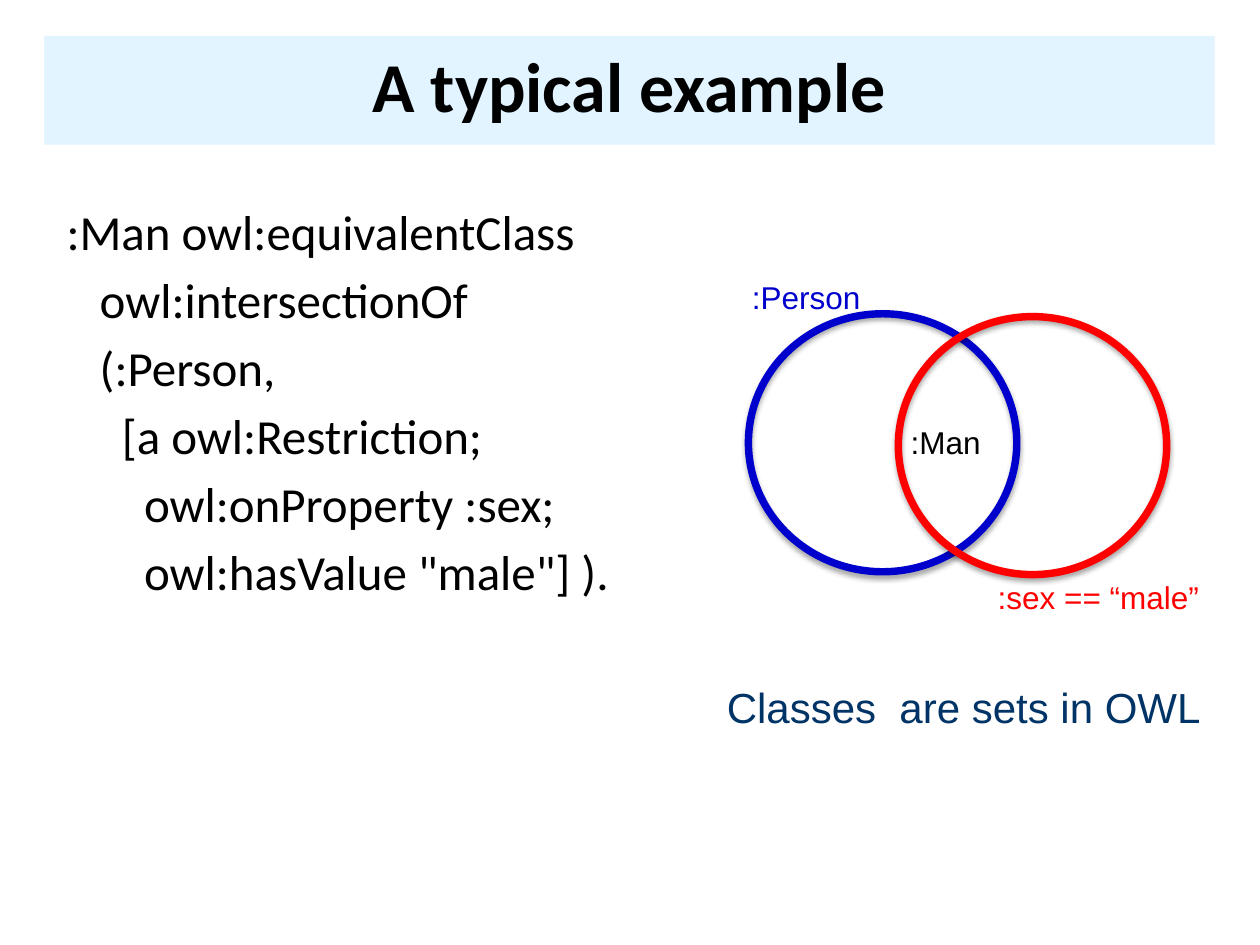
from lxml import etree
from pptx import Presentation
from pptx import util as u
from pptx.dml.color import RGBColor
from pptx.enum import shapes, text
from pptx.oxml import ns

WIDE, HIGH = 10, 7.5
CODE = """:Man owl:equivalentClass
   owl:intersectionOf
   (:Person,
     [a owl:Restriction;
       owl:onProperty :sex;
       owl:hasValue "male"] )."""


def hue(code):
    return RGBColor.from_string(code)


def write(frame, words, size=18, font="Arial", color="000000", bold=False,
          align=text.PP_ALIGN.LEFT, gap=0, pitch=None):
    for i, line in enumerate(words.split("\n")):
        para = frame.paragraphs[0] if i == 0 else frame.add_paragraph()
        para.alignment = align
        para.line_spacing = pitch
        if i:
            para.space_before = u.Pt(gap)
        run = para.add_run()
        run.text = line
        face = run.font
        face.name, face.size, face.bold = font, u.Pt(size), bold
        face.color.rgb = hue(color)


class Deck:
    """Slide and style; lengths are shares of the slide's size."""
    head, tint = "Calibri", "E1F4FF"

    def __init__(self):
        self.prs = Presentation()
        self.prs.slide_width = u.Inches(WIDE)
        self.prs.slide_height = u.Inches(HIGH)
        self.slide = self.prs.slides.add_slide(self.prs.slide_layouts[6])

    def place(self, x, y, w, h):
        wide, high = self.prs.slide_width, self.prs.slide_height
        return [int(v) for v in (x * wide, y * high, w * wide, h * high)]

    def title(self, words, *box):
        bar = self.slide.shapes.add_shape(
            shapes.MSO_SHAPE.RECTANGLE, *self.place(*box))
        bar.shadow.inherit = False
        bar.fill.solid()
        bar.fill.fore_color.rgb = hue(self.tint)
        bar.line.fill.background()
        bar.text_frame.vertical_anchor = text.MSO_ANCHOR.MIDDLE
        write(bar.text_frame, words, size=40, font=self.head, bold=True,
              align=text.PP_ALIGN.CENTER, pitch=0.9)

    def label(self, words, *box, wrap=False, **style):
        area = self.slide.shapes.add_textbox(*self.place(*box))
        area.text_frame.word_wrap = wrap
        write(area.text_frame, words, **style)

    def ring(self, color, *box):
        oval = self.slide.shapes.add_shape(
            shapes.MSO_SHAPE.OVAL, *self.place(*box))
        oval.fill.background()
        oval.line.color.rgb = hue(color)
        oval.line.width = u.Pt(4.25)
        # Soft shadow straight below
        oval.shadow.inherit = False
        glow = oval._element.spPr.find(ns.qn("a:effectLst"))
        drop = etree.SubElement(
            glow, ns.qn("a:outerShdw"), blurRad=str(u.Pt(3.1)),
            dist=str(u.Pt(1.8)), dir="5400000", rotWithShape="0")
        ink = etree.SubElement(drop, ns.qn("a:srgbClr"), val="000000")
        etree.SubElement(ink, ns.qn("a:alpha"), val="35000")


def main():
    deck = Deck()
    blue, red, navy = "0000CC", "FF0000", "003366"

    # Title and class definition
    deck.title("A typical example", 0.035, 0.038, 0.929, 0.115)
    deck.label(CODE, 0.043, 0.207, 0.914, 0.724, wrap=True,
               size=28, font=deck.head, gap=5.2)

    # Overlapping sets
    for color, x, y in ((blue, 0.594, 0.332), (red, 0.713, 0.335)):
        deck.ring(color, x, y, 0.213, 0.273)

    # Set names and remark
    for words, x, y, w, color in (
            (":Person", 0.587, 0.288, 0.107, blue),
            (":sex == “male”", 0.782, 0.605, 0.182, red),
            (":Man", 0.713, 0.441, 0.076, "000000")):
        deck.label(words, x, y, w, 0.053, color=color)
    deck.label("Classes  are sets in OWL", 0.567, 0.715, 0.4, 0.067,
               size=24, color=navy)

    deck.prs.save("out.pptx")


if __name__ == "__main__":
    main()
